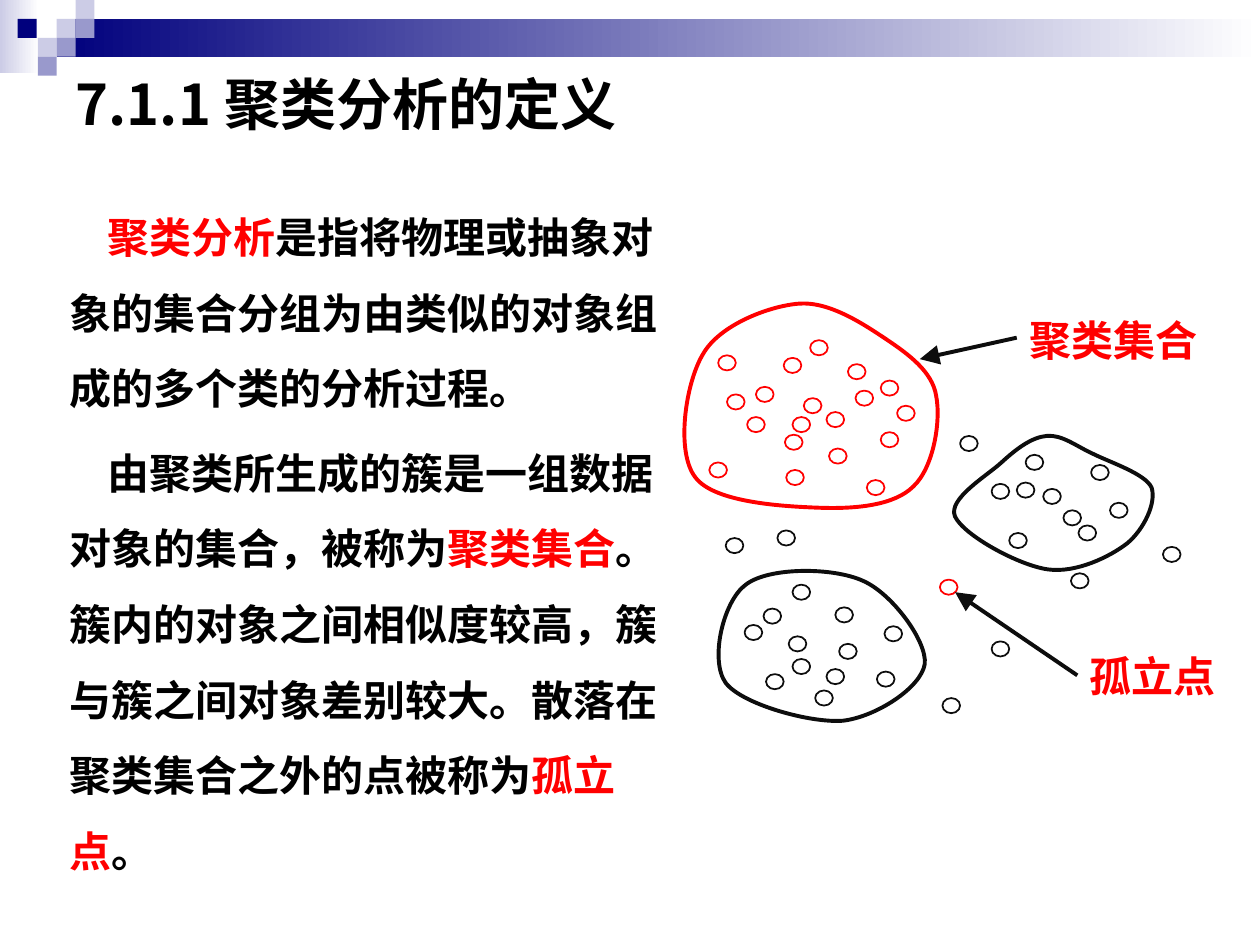
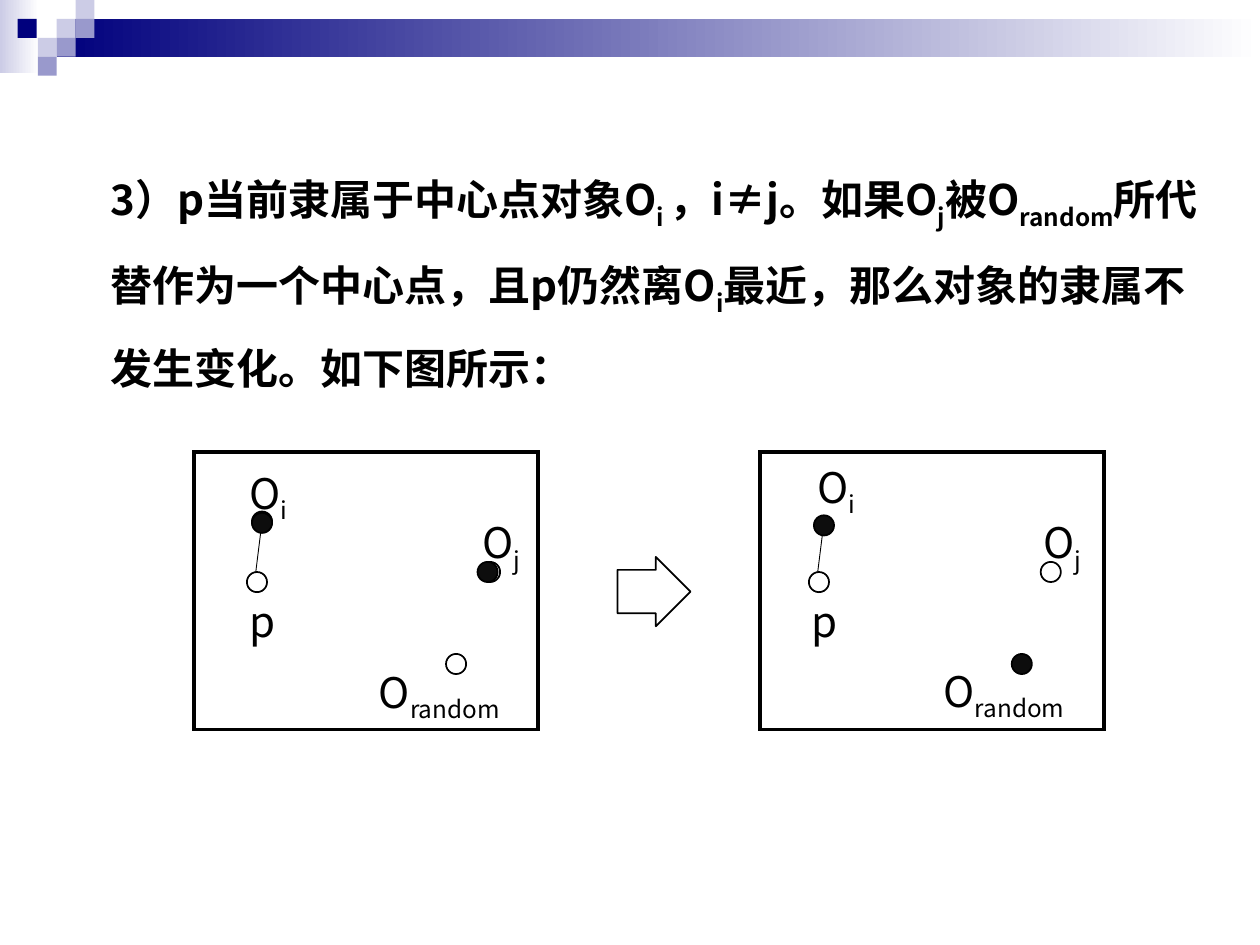
from dataclasses import dataclass
from typing import NamedTuple, Optional

from lxml.etree import SubElement
from pptx import Presentation
from pptx.dml.color import RGBColor
from pptx.enum.shapes import MSO_CONNECTOR, MSO_SHAPE
from pptx.enum.text import MSO_ANCHOR, MSO_AUTO_SIZE, PP_ALIGN
from pptx.oxml.ns import qn
from pptx.util import Inches, Pt

FONT = "Noto Sans CJK SC"
BLACK = RGBColor(0, 0, 0)
INK = RGBColor(0x0D, 0x0D, 0x0D)
RED = RGBColor(0xFF, 0, 0)
WHITE = RGBColor(0xFF, 0xFF, 0xFF)
GREY = RGBColor(0xD9, 0xD9, 0xD9)
NAVY = RGBColor(0, 0, 0x7D)
LILAC = RGBColor(0xCC, 0xCC, 0xE6)
VIOLET = RGBColor(0x99, 0x99, 0xCC)


class Run(NamedTuple):
    text: str
    color: RGBColor = BLACK
    sub: bool = False


class Box(NamedTuple):
    left: float
    top: float
    width: float
    height: float


class Label(NamedTuple):
    box: Box
    runs: list[Run]


class Dot(NamedTuple):
    left: float
    top: float
    fill: Optional[RGBColor] = None
    alpha: int = 100


@dataclass
class Cluster:
    color: RGBColor
    box: Box
    curves: list[tuple[float, ...]]  # two control points and an end point each
    points: list[tuple[float, float]]


@dataclass
class Panel:
    left: float
    dots: list[Dot]
    labels: list[Label]
    link: tuple[float, float, float, float]


# ---- Drawing helpers ----
def add_runs(p, runs: list[Run], size: int = 24, bold: bool = True) -> None:
    for run in runs:
        r = p.add_run()
        r.text = run.text
        r.font.size, r.font.bold, r.font.name = Pt(size), bold, FONT
        r.font.color.rgb = run.color
        rPr = r._r.get_or_add_rPr()
        SubElement(rPr, qn("a:ea")).set("typeface", FONT)
        if run.sub:
            rPr.set("baseline", "-25000")


def add_text(s, label: Label, bold: bool = True, spacing: float = 1.0) -> None:
    tf = s.shapes.add_textbox(*map(Inches, label.box)).text_frame
    tf.word_wrap = True
    tf.paragraphs[0].line_spacing = spacing
    add_runs(tf.paragraphs[0], label.runs, bold=bold)


def style(sp, fill: Optional[RGBColor], line: Optional[RGBColor], width: float = 1) -> None:
    sp.shadow.inherit = False
    if fill is None:
        sp.fill.background()
    else:
        sp.fill.solid()
        sp.fill.fore_color.rgb = fill
    if line is None:
        sp.line.fill.background()
    else:
        sp.line.color.rgb = line
        sp.line.width = Pt(width)


def add_shape(s, kind: MSO_SHAPE, box: Box, fill: Optional[RGBColor],
              line: Optional[RGBColor] = None, width: float = 1):
    sp = s.shapes.add_shape(kind, *map(Inches, box))
    style(sp, fill, line, width)
    return sp


def add_line(s, ends: tuple[float, ...], color: RGBColor, width: float,
             arrow: bool = False) -> None:
    cxn = s.shapes.add_connector(MSO_CONNECTOR.STRAIGHT, *map(Inches, ends))
    cxn.line.color.rgb = color
    cxn.line.width = Pt(width)
    if arrow:
        tail = SubElement(cxn.line._get_or_add_ln(), qn("a:tailEnd"))
        for name, value in (("type", "triangle"), ("w", "lg"), ("len", "lg")):
            tail.set(name, value)
    SubElement(cxn._element.spPr, qn("a:effectLst"))


def add_outline(s, cluster: Cluster) -> None:
    """Build a closed freeform and turn its segments into Bezier curves."""
    ends = [(Inches(c[4]), Inches(c[5])) for c in cluster.curves]
    fb = s.shapes.build_freeform(*ends[-1])
    fb.add_line_segments(ends, close=True)
    sp = fb.convert_to_shape()
    sp.left, sp.top, sp.width, sp.height = map(Inches, cluster.box)
    path_el = sp._element.spPr.find(".//" + qn("a:path"))
    path_el.set("w", str(sp.width))
    path_el.set("h", str(sp.height))

    def put_point(pt, x: float, y: float) -> None:
        pt.set("x", str(Inches(x) - sp.left))
        pt.set("y", str(Inches(y) - sp.top))

    put_point(path_el.find(qn("a:moveTo"))[0], *cluster.curves[-1][4:])
    for seg, curve in zip(path_el.findall(qn("a:lnTo")), cluster.curves):
        bezier = SubElement(path_el, qn("a:cubicBezTo"))
        for i in (0, 2, 4):
            put_point(SubElement(bezier, qn("a:pt")), *curve[i:i + 2])
        path_el.replace(seg, bezier)
    style(sp, None, cluster.color, 2.25)


def add_point(s, at: tuple[float, float], color: RGBColor) -> None:
    add_shape(s, MSO_SHAPE.OVAL, Box(*at, 0.14, 0.12), WHITE, color)


# ---- Shared band on the master ----
BARS = [(Box(0, 0, 0.31, 0.58), LILAC), (Box(0.45, 0.15, 9.55, 0.3), NAVY)]
SQUARES = [(0.45, 0.15, LILAC), (0.6, 0, LILAC), (0.6, 0.15, VIOLET), (0.3, 0.3, LILAC),
           (0.14, 0.15, NAVY), (0.45, 0.3, VIOLET), (0.3, 0.45, VIOLET)]


def add_band(prs, s) -> None:
    """Draw the band on a slide, then move it to the back of the master."""
    band = []
    for box, color in BARS:
        sp = add_shape(s, MSO_SHAPE.RECTANGLE, box, color)
        sp.fill.gradient()
        sp.fill.gradient_angle = 0
        for stop, rgb in zip(sp.fill.gradient_stops, (color, WHITE)):
            stop.color.rgb = rgb
        band.append(sp)
    for left, top, color in SQUARES:
        band.append(add_shape(s, MSO_SHAPE.RECTANGLE, Box(left, top, 0.15, 0.15), color))
    tree = prs.slide_master.shapes.element
    for i, sp in enumerate(band):
        sp.element.xpath(".//p:cNvPr")[0].set("id", str(20 + i))
        tree.insert(2 + i, sp.element)


# ---- Slide 1: definition of cluster analysis ----
DEFINITION = [
    [Run("聚类分析", RED), Run("是指将物理或抽象对象的集合分组为由类似的对象组成的多个类的分析过程。")],
    [Run("由聚类所生成的簇是一组数据对象的集合，被称为"), Run("聚类集合", RED),
     Run("。簇内的对象之间相似度较高，簇与簇之间对象差别较大。散落在聚类集合之外的点被称为"),
     Run("孤立点", RED), Run("。")],
]
CLUSTERS = [
    Cluster(RED, Box(5.43, 2.41, 2.01, 1.62),
            [(6.1, 2.43, 5.71, 2.58, 5.58, 2.81), (5.44, 3.04, 5.36, 3.59, 5.52, 3.79),
             (5.67, 3.99, 6.22, 4.02, 6.51, 4.03), (6.8, 4.04, 7.1, 4.01, 7.25, 3.86),
             (7.41, 3.71, 7.47, 3.34, 7.43, 3.14), (7.4, 2.95, 7.21, 2.81, 7.03, 2.69),
             (6.85, 2.57, 6.58, 2.39, 6.34, 2.41)],
            [(5.7, 2.82), (6, 3.07), (6.22, 2.84), (6.73, 2.89), (5.93, 3.31), (5.77, 3.13),
             (6.38, 3.16), (6.23, 3.45), (6.43, 2.7), (6.29, 3.31), (6.58, 3.56), (6.99, 3.43),
             (6.99, 3.02), (5.63, 3.67), (6.24, 3.73), (6.56, 3.27), (6.79, 3.1), (7.12, 3.22),
             (6.88, 3.81)]),
    Cluster(INK, Box(5.7, 4.53, 1.63, 1.19),
            [(6.61, 4.5, 6.1, 4.5, 5.92, 4.64), (5.74, 4.77, 5.63, 5.24, 5.76, 5.42),
             (5.89, 5.59, 6.43, 5.74, 6.69, 5.72), (6.95, 5.69, 7.31, 5.46, 7.34, 5.27),
             (7.36, 5.09, 7.08, 4.71, 6.85, 4.61)],
            [(6.06, 4.83), (6.63, 4.82), (6.29, 5.23), (6.26, 5.05), (6.66, 5.11), (6.29, 4.64),
             (7.02, 4.97), (5.91, 4.96), (6.96, 5.33), (6.08, 5.35), (6.47, 5.48), (6.56, 5.31)]),
    Cluster(INK, Box(7.58, 3.46, 1.57, 1.07),
            [(8.19, 3.47, 8.07, 3.56, 7.95, 3.67), (7.83, 3.78, 7.52, 3.96, 7.58, 4.1),
             (7.65, 4.25, 8.09, 4.49, 8.32, 4.52), (8.54, 4.55, 8.81, 4.42, 8.95, 4.31),
             (9.08, 4.2, 9.18, 3.99, 9.14, 3.87), (9.09, 3.76, 8.81, 3.67, 8.67, 3.6),
             (8.54, 3.54, 8.43, 3.45, 8.31, 3.46)],
            [(7.87, 3.84), (8.14, 3.61), (8.44, 4.05), (8.81, 3.99), (8.66, 3.69), (8.56, 4.17),
             (8.07, 3.83), (8.01, 4.23), (8.28, 3.88)]),
]
SCATTERED = [(6.17, 4.21), (7.62, 3.46), (5.76, 4.27), (9.23, 4.34), (8.5, 4.55),
             (7.87, 5.09), (7.48, 5.54)]
OUTLIER = (7.46, 4.6)
CALLOUTS = [
    (Label(Box(8.07, 2.45, 1.62, 0.5), [Run("聚类集合", RED)]), (8.07, 2.68, 7.3, 2.85)),
    (Label(Box(8.55, 5.11, 1.45, 0.5), [Run("孤立点", RED)]), (8.55, 5.36, 7.58, 4.7)),
]


def place(sp, box: Box, anchor: MSO_ANCHOR):
    sp.left, sp.top, sp.width, sp.height = map(Inches, box)
    tf = sp.text_frame
    tf.word_wrap, tf.auto_size, tf.vertical_anchor = True, MSO_AUTO_SIZE.NONE, anchor
    return tf


def build_definition(prs) -> None:
    s = prs.slides.add_slide(prs.slide_layouts[1])
    add_band(prs, s)

    # Title and body
    tf = place(s.shapes.title, Box(0.5, 0.5, 9, 0.64), MSO_ANCHOR.MIDDLE)
    tf.paragraphs[0].alignment = PP_ALIGN.LEFT
    add_runs(tf.paragraphs[0], [Run("7.1.1 聚类分析的定义")], size=32)
    tf = place(s.placeholders[1], Box(0.45, 1.43, 4.97, 5.57), MSO_ANCHOR.TOP)
    for i, runs in enumerate(DEFINITION):
        p = tf.add_paragraph() if i else tf.paragraphs[0]
        pPr = p._p.get_or_add_pPr()
        for name, value in (("marL", 0), ("indent", Inches(0.3)), ("hangingPunct", 0)):
            pPr.set(name, str(value))
        SubElement(pPr, qn("a:buNone"))
        p.line_spacing = 1.5
        p.space_before = Pt(5 if i else 0)
        add_runs(p, runs)

    # Cluster diagram
    for cluster in CLUSTERS:
        for at in cluster.points:
            add_point(s, at, cluster.color)
        add_outline(s, cluster)
    for at in SCATTERED:
        add_point(s, at, INK)
    add_point(s, OUTLIER, RED)
    for label, ends in CALLOUTS:
        add_line(s, ends, INK, 2.25, arrow=True)
        add_text(s, label)


# ---- Slide 2: reassignment, case 3 ----
def sub(text: str) -> Run:
    return Run(text, sub=True)


CASE = Label(Box(0.78, 1.1, 8.84, 1.82), [
    Run("3）p当前隶属于中心点对象O"), sub("i "), Run("，i≠j。如果O"), sub("j"), Run("被O"),
    sub("random"), Run("所代替作为一个中心点，且p仍然离O"), sub("i"),
    Run("最近，那么对象的隶属不发生变化。如下图所示：")])
O_I, O_J, O_RANDOM = ([Run("O"), sub(name)] for name in ("i", "j", "random"))
PANELS = [
    Panel(1.54,
          [Dot(2, 4.06, GREY, 50), Dot(1.96, 4.54), Dot(3.81, 4.46, GREY, 50),
           Dot(3.54, 5.19), Dot(2, 4.07, INK), Dot(3.79, 4.46, INK)],
          [Label(Box(1.88, 3.66, 0.67, 0.5), O_I), Label(Box(1.88, 4.68, 0.24, 0.51), [Run("p")]),
           Label(Box(3.73, 4.05, 0.63, 0.51), O_J), Label(Box(2.91, 5.24, 1.37, 0.51), O_RANDOM)],
          (2.03, 4.54, 2.07, 4.22)),
    Panel(6.03,
          [Dot(6.42, 4.54), Dot(8.26, 4.46), Dot(6.46, 4.09, INK), Dot(8.03, 5.19, INK)],
          [Label(Box(6.39, 3.61, 0.67, 0.5), O_I), Label(Box(6.34, 4.68, 0.24, 0.51), [Run("p")]),
           Label(Box(8.18, 4.05, 0.67, 0.51), O_J), Label(Box(7.39, 5.23, 1.35, 0.51), O_RANDOM)],
          (6.49, 4.54, 6.53, 4.22)),
]


def add_panel(s, panel: Panel) -> None:
    frame = add_shape(s, MSO_SHAPE.RECTANGLE, Box(panel.left, 3.59, 2.73, 2.2), None, BLACK, 2.25)
    SubElement(frame.line._get_or_add_ln(), qn("a:miter")).set("lim", "800000")
    for label in panel.labels:
        add_text(s, label, bold=False)
    add_line(s, panel.link, BLACK, 0.5)
    for dot in panel.dots:
        sp = add_shape(s, MSO_SHAPE.OVAL, Box(dot.left, dot.top, 0.16, 0.16), dot.fill, BLACK)
        if dot.alpha < 100:
            color = sp._element.spPr.find(qn("a:solidFill"))[0]
            SubElement(color, qn("a:alpha")).set("val", str(dot.alpha * 1000))


def build_reassignment(prs) -> None:
    s = prs.slides.add_slide(prs.slide_layouts[6])
    add_text(s, CASE, spacing=1.5)
    for panel in PANELS:
        add_panel(s, panel)
    arrow = add_shape(s, MSO_SHAPE.RIGHT_ARROW, Box(4.9, 4.42, 0.58, 0.55), WHITE, BLACK)
    arrow.adjustments[0], arrow.adjustments[1] = 0.625, 0.5


def main() -> None:
    prs = Presentation()
    prs.slide_width, prs.slide_height = Inches(10), Inches(7.5)
    build_definition(prs)
    build_reassignment(prs)
    prs.save("out.pptx")


if __name__ == "__main__":
    main()
